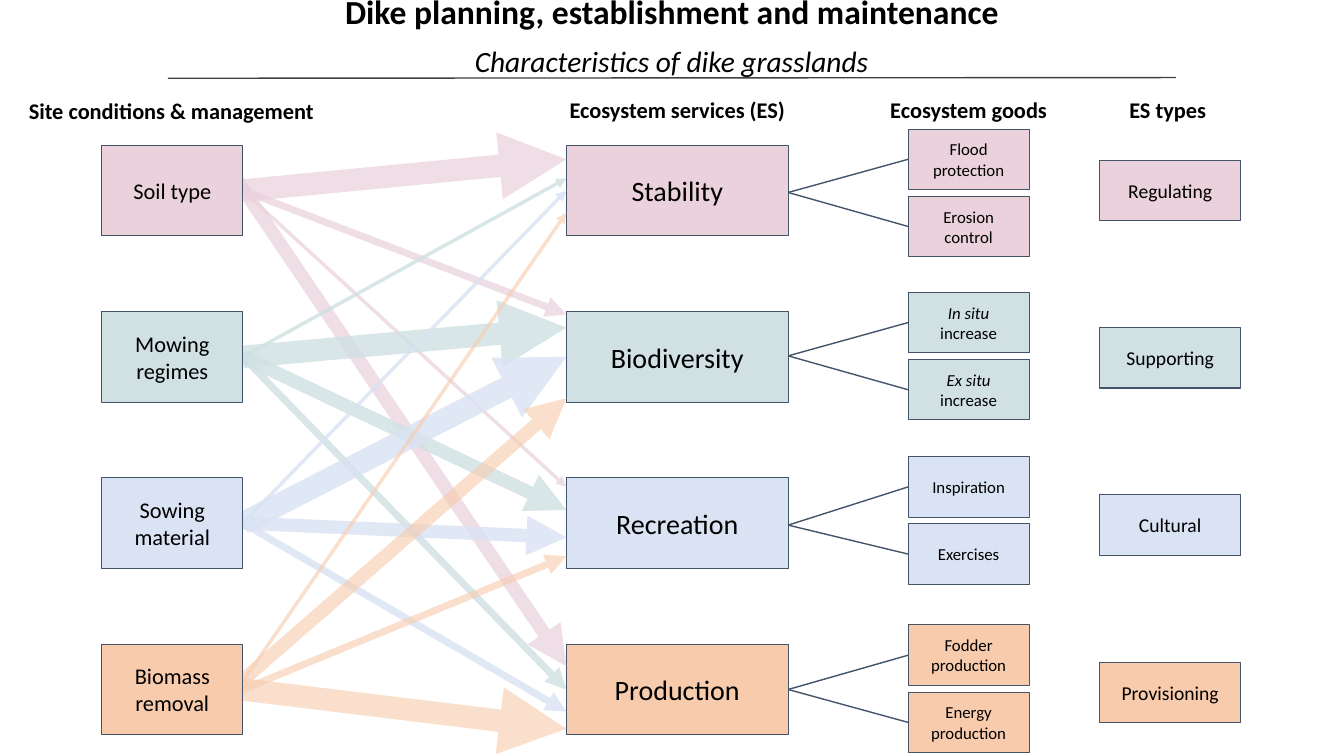
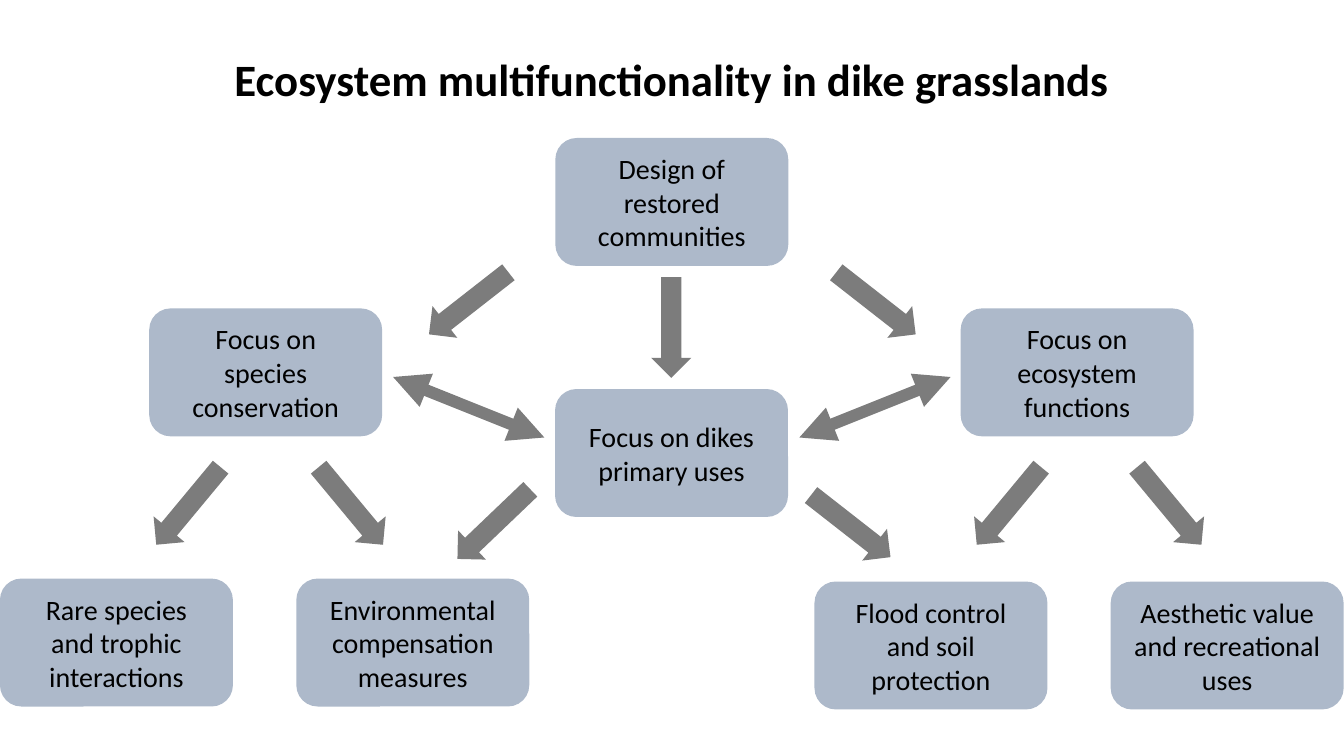
from dataclasses import dataclass

from lxml import etree
from pptx import Presentation
from pptx.dml.color import RGBColor
from pptx.enum.shapes import MSO_CONNECTOR, MSO_SHAPE
from pptx.enum.text import MSO_ANCHOR, PP_ALIGN
from pptx.oxml.ns import qn
from pptx.util import Pt

RECT, ROUNDED = MSO_SHAPE.RECTANGLE, MSO_SHAPE.ROUNDED_RECTANGLE
DOWN_ARROW = MSO_SHAPE.DOWN_ARROW
STRAIGHT = MSO_CONNECTOR.STRAIGHT
CENTER, MIDDLE = PP_ALIGN.CENTER, MSO_ANCHOR.MIDDLE


@dataclass(frozen=True)
class Theme:
    font: str = "Calibri"
    text: str = "000000"
    outline: str = "44546A"
    title_rule: str = "404040"
    focus: str = "ADB9CA"
    arrow: str = "7C7C7C"
    regulating: str = "EAD1DC"
    supporting: str = "D0E0E3"
    cultural: str = "DAE3F3"
    provisioning: str = "F8CBAD"
    headline: float = 32
    title: float = 24
    subtitle: float = 21
    large: float = 20
    medium: float = 16
    small: float = 14
    tiny: float = 12


THEME = Theme()

# Slide 1 grid
ROW_TOP, ROW_PITCH, ROW_HEIGHT = 103.7, 118.8, 64.8
SITE_LEFT, SITE_WIDTH = 72.7, 100.8
SERVICE_LEFT, SERVICE_WIDTH = 404.6, 158.4
GOOD_LEFT, GOOD_WIDTH, GOOD_HEIGHT, GOOD_PITCH = 648.7, 86.4, 43.2, 48
TYPE_LEFT, TYPE_TOP, TYPE_PITCH = 785.5, 114.5, 119.5
EFFECT_WIDTHS = (16, 9.5, 5, 2.5)

COLUMN_HEADINGS = [
    ("Site conditions & management", 2.9, 65.5, 239),
    ("Ecosystem services (ES)", 395.3, 64.8, 177.1),
    ("Ecosystem goods", 627.1, 64.8, 129.6),
    ("ES types", 774, 64.8, 120.2),
]


@dataclass(frozen=True)
class Row:
    colour: str
    site: str
    service: str
    goods: tuple
    goods_top: float
    fork_y: float
    es_type: str
    opacity: int
    effect_ends: tuple  # arrow tips, strongest effect first
    moved_starts: dict  # effect index -> start away from the box edge centre


ROWS = [
    Row(THEME.regulating, "Soil type", "Stability",
        ("Flood protection", "Erosion control"), 92.2, 137.5, "Regulating",
        70, (113.8, 475.9, 224.6, 347.8), {1: (168.5, 127.4)}),
    Row(THEME.supporting, "Mowing regimes", "Biodiversity",
        ([("In situ", True), (" increase", False)],
         [("Ex situ ", True), ("increase", False)]), 208.8, 254.2, "Supporting",
        80, (234, 364.3, 492.5, 127.4), {}),
    Row(THEME.cultural, "Sowing material", "Recreation",
        ("Inspiration", "Exercises"), 326.2, 375.1, "Cultural",
        80, (254.9, 383.8, 508.3, 136.1), {}),
    Row(THEME.provisioning, "Biomass removal", "Production",
        ("Fodder production", "Energy production"), 446.4, 492.5, "Provisioning",
        60, (520.6, 284.4, 397.4, 151.9), {1: (163.4, 494.6), 3: (173.5, 486.7)}),
]

# Slide 2: text, left, top, side inset
FOCUS_WIDTH, FOCUS_HEIGHT = 166.4, 91.4
FOCUS_BOXES = [
    ("Design of restored communities", 396.7, 98.6, 17.5),
    ("Focus on species conservation", 106.6, 220.3, 17.5),
    ("Focus on ecosystem functions", 686.2, 220.3, 17.5),
    ("Focus on dikes primary uses", 396.5, 277.9, 17.5),
    ("Rare species and trophic interactions", 0, 413.3, 17.5),
    ("Environmental compensation measures", 211.7, 413.3, 17.5),
    ("Flood control and soil protection", 581.8, 415.4, 17.5),
    ("Aesthetic value and recreational uses", 793.4, 415.4, 10),
]
# Centre x, centre y, rotation
ARROW_WIDTH, ARROW_LENGTH = 28.8, 72
FLOW_ARROWS = [
    (334.8, 216.7, 52), (479.5, 234, 0), (625.7, 216.7, 308),
    (134.6, 361.4, 39.7), (250.6, 361.4, 320.3), (352.8, 374.4, 46.3),
    (607.7, 375.8, 308), (720.7, 361.4, 39.7), (835.2, 361.4, 320.3),
]
EXCHANGES = [((280.8, 269.3), (388.8, 312.5)), ((571, 312.5), (679, 269.3))]


def write_text(frame, text, *, size, bold=False, italic=False,
               anchor=None, insets=(7.2, 3.6)):
    """Fill a frame with centred text, given as a string or (text, italic) runs."""
    frame.word_wrap = True
    frame.margin_left = frame.margin_right = Pt(insets[0])
    frame.margin_top = frame.margin_bottom = Pt(insets[1])
    if anchor is not None:
        frame.vertical_anchor = anchor
    paragraph = frame.paragraphs[0]
    paragraph.alignment = CENTER
    for words, slanted in [(text, italic)] if isinstance(text, str) else text:
        run = paragraph.add_run()
        run.text = words
        font = run.font
        font.name, font.size = THEME.font, Pt(size)
        font.bold, font.italic = bold, slanted
        font.color.rgb = RGBColor.from_string(THEME.text)


def add_label(slide, text, left, top, width, height, **text_format):
    label = slide.shapes.add_textbox(Pt(left), Pt(top), Pt(width), Pt(height))
    write_text(label.text_frame, text, **text_format)


def add_block(slide, kind, left, top, width, height, fill, outline=None):
    block = slide.shapes.add_shape(kind, Pt(left), Pt(top), Pt(width), Pt(height))
    block.shadow.inherit = False
    block.fill.solid()
    block.fill.fore_color.rgb = RGBColor.from_string(fill)
    if outline:
        block.line.color.rgb = RGBColor.from_string(outline)
        block.line.width = Pt(0.75)
    else:
        block.line.fill.background()
    return block


def add_card(slide, text, left, top, width, height, fill, size):
    card = add_block(slide, RECT, left, top, width, height, fill, THEME.outline)
    write_text(card.text_frame, text, size=size, anchor=MIDDLE, insets=(9.1, 9.1))


def add_line(slide, start, end, colour, width, opacity=100, heads=()):
    connector = slide.shapes.add_connector(
        STRAIGHT, *(Pt(value) for value in (*start, *end)))
    connector.line.color.rgb = RGBColor.from_string(colour)
    connector.line.width = Pt(width)
    ln = connector.line._get_or_add_ln()
    if opacity < 100:
        alpha = etree.SubElement(ln.find(".//" + qn("a:srgbClr")), qn("a:alpha"))
        alpha.set("val", str(opacity * 1000))
    for head in heads:
        etree.SubElement(ln, qn(head)).set("type", "triangle")
    etree.SubElement(connector._element.spPr, qn("a:effectLst"))


def add_effects(slide, row, centre_y):
    """Arrows from one site condition to the services, weighted by strength."""
    for index, (width, end_y) in enumerate(zip(EFFECT_WIDTHS, row.effect_ends)):
        start = row.moved_starts.get(index, (SITE_LEFT + SITE_WIDTH, centre_y))
        add_line(slide, start, (SERVICE_LEFT, end_y), row.colour, width,
                 row.opacity, ["a:tailEnd"])


def add_goods(slide, row):
    """Two goods, joined to their service by a fork."""
    for index, good in enumerate(row.goods):
        top = row.goods_top + index * GOOD_PITCH
        add_card(slide, good, GOOD_LEFT, top, GOOD_WIDTH, GOOD_HEIGHT,
                 row.colour, THEME.tiny)
        add_line(slide, (SERVICE_LEFT + SERVICE_WIDTH, row.fork_y),
                 (GOOD_LEFT, top + GOOD_HEIGHT / 2), THEME.outline, 1)


def build_services_slide(slide):
    tops = [ROW_TOP + index * ROW_PITCH for index in range(len(ROWS))]

    # Services lie behind the effect arrows, site conditions in front
    for row, top in zip(ROWS, tops):
        add_card(slide, row.service, SERVICE_LEFT, top, SERVICE_WIDTH,
                 ROW_HEIGHT, row.colour, THEME.large)
    for row, top in zip(ROWS, tops):
        add_effects(slide, row, top + ROW_HEIGHT / 2)
    for index, (row, top) in enumerate(zip(ROWS, tops)):
        add_card(slide, row.site, SITE_LEFT, top, SITE_WIDTH, ROW_HEIGHT,
                 row.colour, THEME.medium)
        add_goods(slide, row)
        add_card(slide, row.es_type, TYPE_LEFT, TYPE_TOP + index * TYPE_PITCH,
                 SITE_WIDTH, GOOD_HEIGHT, row.colour, THEME.small)

    # Titles and column headings
    add_label(slide, "Dike planning, establishment and maintenance",
              236, -10, 488, 36.4, size=THEME.title, bold=True)
    add_line(slide, (120, 55.9), (840, 55.4), THEME.title_rule, 1)
    add_label(slide, "Characteristics of dike grasslands",
              327.8, 27.4, 303.8, 32.6, size=THEME.subtitle, italic=True)
    for heading, left, top, width in COLUMN_HEADINGS:
        add_label(slide, heading, left, top, width, 26.6,
                  size=THEME.medium, bold=True)


def build_multifunctionality_slide(slide):
    add_label(slide, "Ecosystem multifunctionality in dike grasslands",
              84.2, 33.1, 791.3, 46, size=THEME.headline, bold=True)

    # Focus boxes
    for text, left, top, side in FOCUS_BOXES:
        box = add_block(slide, ROUNDED, left, top, FOCUS_WIDTH, FOCUS_HEIGHT,
                        THEME.focus)
        write_text(box.text_frame, text, size=THEME.large, anchor=MIDDLE,
                   insets=(side, 0))

    # Exchanges between focus areas, then one-way flows
    for start, end in EXCHANGES:
        add_line(slide, start, end, THEME.arrow, 8.5,
                 heads=["a:headEnd", "a:tailEnd"])
    for centre_x, centre_y, rotation in FLOW_ARROWS:
        arrow = add_block(slide, DOWN_ARROW, centre_x - ARROW_WIDTH / 2,
                          centre_y - ARROW_LENGTH / 2, ARROW_WIDTH,
                          ARROW_LENGTH, THEME.arrow)
        arrow.rotation = rotation


def main():
    deck = Presentation()
    deck.slide_width, deck.slide_height = Pt(960), Pt(540)
    blank = deck.slide_layouts[6]
    for build in (build_services_slide, build_multifunctionality_slide):
        build(deck.slides.add_slide(blank))
    deck.save("out.pptx")


if __name__ == "__main__":
    main()
